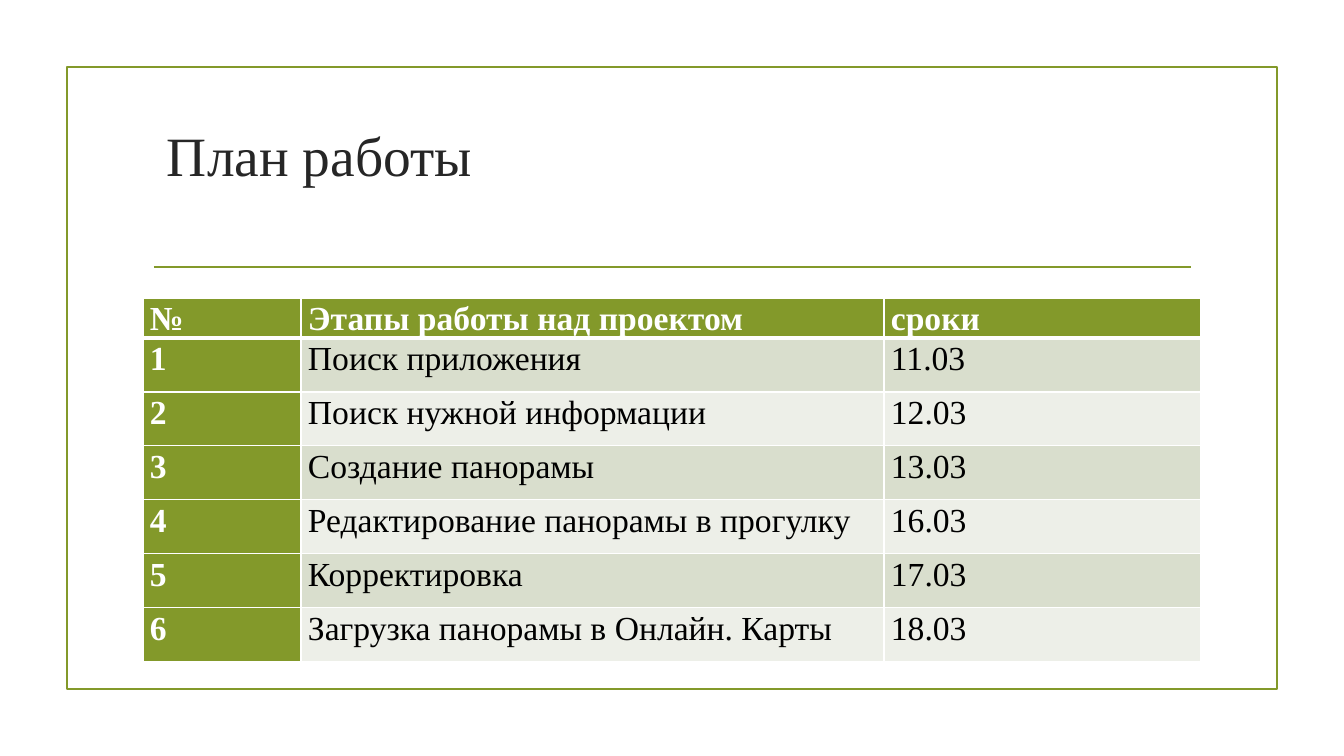
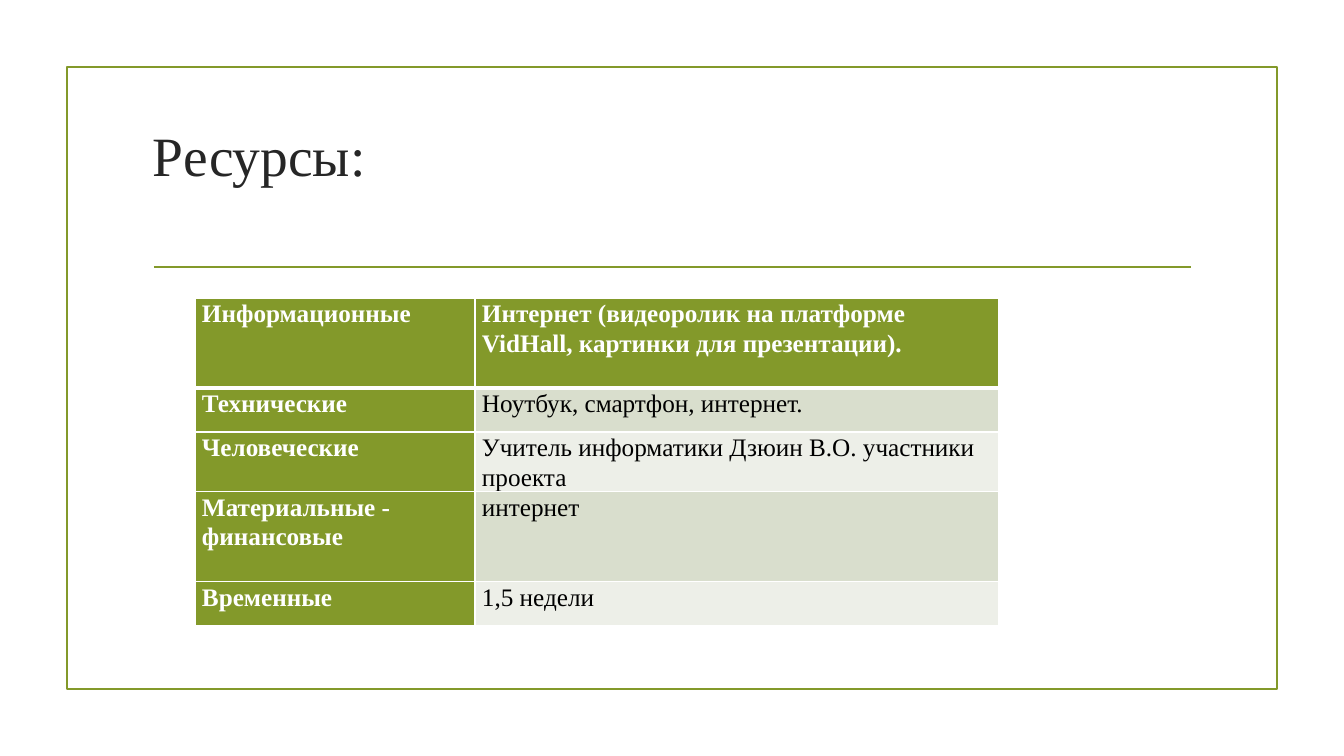
"""Build two project slides, each with a framed title and a table."""
from lxml import etree
from pptx import Presentation
from pptx import util as u
from pptx.dml.color import RGBColor
from pptx.enum import shapes, text
from pptx.oxml import ns

PX = 914400 / 100.8
FONT = "Times New Roman"
HUES = {
    "green": "83992A",
    "ink": "262626",
    "black": "000000",
    "white": "FFFFFF",
    "odd": "D9DECD",
    "even": "EDEFE8",
}
SIZE = (1344, 756)
FRAME = (67, 67, 1210, 622)
RULE = (154, 267, 1191, 267)
TITLE = (143, 108, 1058, 144)
TOP = 298

PAGES = [
    {
        "title": "План работы",
        "inset": 24,
        "left": 143,
        "cols": [158, 583, 317],
        "rows": [40] + [54] * 6,
        "size": 24,
        "cells": [
            ("№", "Этапы работы над проектом", "сроки"),
            ("1", "Поиск приложения", "11.03"),
            ("2", "Поиск нужной информации", "12.03"),
            ("3", "Создание панорамы", "13.03"),
            ("4", "Редактирование панорамы в прогулку", "16.03"),
            ("5", "Корректировка", "17.03"),
            ("6", "Загрузка панорамы в Онлайн. Карты", "18.03"),
        ],
    },
    {
        "title": "Ресурсы:",
        "inset": 10,
        "left": 195,
        "cols": [280, 524],
        "rows": [90, 44, 59, 90, 44],
        "size": 18,
        "cells": [
            ("Информационные",
             "Интернет (видеоролик на платформе VidHall, картинки для презентации)."),
            ("Технические", "Ноутбук, смартфон, интернет."),
            ("Человеческие", "Учитель информатики Дзюин В.О. участники проекта"),
            ("Материальные - финансовые", "интернет"),
            ("Временные", "1,5 недели"),
        ],
    },
]


def px(*vals):
    return [u.Emu(round(v * PX)) for v in vals]


def rgb(name):
    return RGBColor.from_string(HUES[name])


def style(para, size, hue, bold=False):
    for run in para.runs:
        run.font.name = FONT
        run.font.size = u.Pt(size)
        run.font.bold = bold
        run.font.color.rgb = rgb(hue)


def stroke(line):
    line.color.rgb = rgb("green")
    line.width = u.Pt(1.25)


def add_frame(slide):
    box = slide.shapes.add_shape(shapes.MSO_SHAPE.RECTANGLE, *px(*FRAME))
    box.shadow.inherit = False
    box.fill.background()
    stroke(box.line)
    rule = slide.shapes.add_connector(shapes.MSO_CONNECTOR.STRAIGHT, *px(*RULE))
    stroke(rule.line)
    etree.SubElement(rule.element.spPr, ns.qn("a:effectLst"))


def add_title(slide, words, inset):
    title = slide.shapes.title
    title.left, title.top, title.width, title.height = px(*TITLE)
    frame = title.text_frame
    frame.text = words
    frame.word_wrap = True
    frame.auto_size = text.MSO_AUTO_SIZE.NONE
    frame.vertical_anchor = text.MSO_ANCHOR.TOP
    frame.margin_left, frame.margin_top = px(inset, 13)
    para = frame.paragraphs[0]
    para.alignment = text.PP_ALIGN.LEFT
    para.line_spacing = 1.0
    style(para, 39.6, "ink")


def add_edges(cell, row):
    props = cell._tc.get_or_add_tcPr()
    for side in "LRTB":
        thick = (row, side) in ((0, "B"), (1, "T"))
        edge = etree.SubElement(props, ns.qn("a:ln" + side))
        edge.set("w", str(u.Pt(3 if thick else 1)))
        fill = etree.SubElement(edge, ns.qn("a:solidFill"))
        etree.SubElement(fill, ns.qn("a:srgbClr")).set("val", HUES["white"])


def set_cell(cell, words, row, col, size):
    head = row == 0 or col == 0
    add_edges(cell, row)
    cell.fill.solid()
    cell.fill.fore_color.rgb = rgb("green" if head else "odd" if row % 2 else "even")
    cell.margin_left, cell.margin_right = px(7, 7)
    cell.margin_top = cell.margin_bottom = 0
    cell.text_frame.text = words
    para = cell.text_frame.paragraphs[0]
    para.line_spacing = 1.07
    style(para, size, "white" if head else "black", head)


def add_grid(slide, page):
    cols, rows = page["cols"], page["rows"]
    area = px(page["left"], TOP, sum(cols), sum(rows))
    table = slide.shapes.add_table(len(rows), len(cols), *area).table
    for col, wide in zip(table.columns, px(*cols)):
        col.width = wide
    for row, high in zip(table.rows, px(*rows)):
        row.height = high
    for i, line in enumerate(page["cells"]):
        for j, words in enumerate(line):
            set_cell(table.cell(i, j), words, i, j, page["size"])


def main():
    deck = Presentation()
    deck.slide_width, deck.slide_height = px(*SIZE)
    for page in PAGES:
        slide = deck.slides.add_slide(deck.slide_layouts[5])
        add_frame(slide)
        add_title(slide, page["title"], page["inset"])
        add_grid(slide, page)
    deck.save("out.pptx")


if __name__ == "__main__":
    main()
